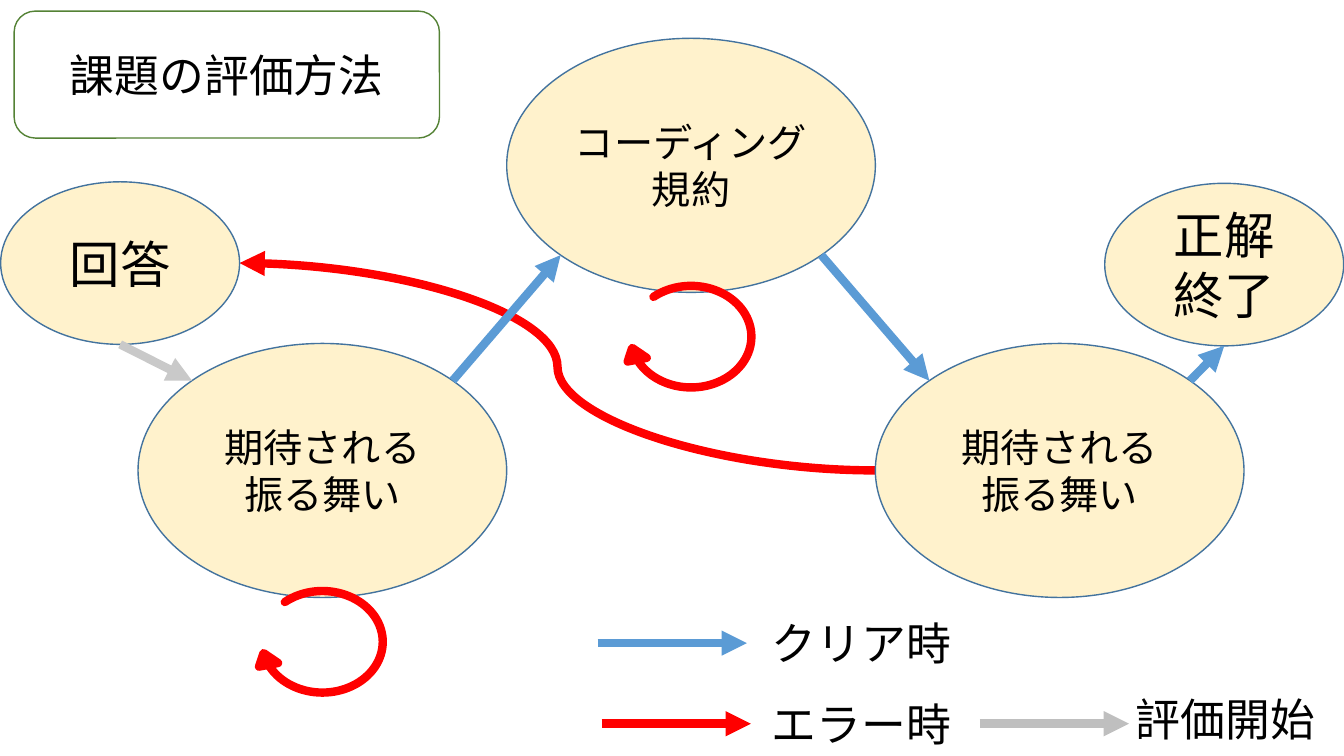
from dataclasses import dataclass
from math import cos, radians, sin

from lxml.etree import SubElement
from pptx import Presentation
from pptx.dml.color import RGBColor
from pptx.enum.shapes import MSO_CONNECTOR as Conn, MSO_SHAPE as Shape
from pptx.enum.text import MSO_ANCHOR as Anchor, PP_ALIGN as Align
from pptx.oxml.ns import qn
from pptx.util import Inches, Pt

Point = tuple[float, float]


@dataclass(frozen=True)
class Theme:
    font: str = "Noto Sans CJK JP"
    text: str = "000000"
    node_fill: str = "FFF2CC"
    node_line: str = "43739E"
    title_fill: str = "FFFFFF"
    title_line: str = "548235"
    clear: str = "5B9BD5"
    error: str = "FF0000"
    start: str = "C9C9C9"
    start_key: str = "BFBFBF"
    step_size: int = 28
    label_size: int = 32
    end_size: int = 36
    thin: float = 1
    thick: float = 6


@dataclass(frozen=True)
class Box:
    """A rectangle in percent of the slide's width and height."""
    x: float
    y: float
    w: float
    h: float

    def rim(self, angle: float) -> Point:
        """Point on the inscribed ellipse, clockwise in degrees from the right."""
        a = radians(angle)
        return (self.x + self.w / 2 * (1 + cos(a)),
                self.y + self.h / 2 * (1 + sin(a)))


@dataclass(frozen=True)
class Node:
    text: str
    box: Box
    size: int


@dataclass(frozen=True)
class Arrow:
    begin: Point
    end: Point
    color: str


@dataclass(frozen=True)
class Key:
    text: str
    arrow_at: Point
    text_at: Point
    color: str


T = Theme()
RIGHT, LOWER_RIGHT, BOTTOM, LEFT, UPPER_LEFT, UPPER_RIGHT = 0, 45, 90, 180, 225, 315
LOWER_LEFT = 135
STEP_LEFT, STEP_W, STEP_H = 10.27, 27.43, 33.6
END_W, END_H = 17.78, 21.5
LOOP_W, LOOP_H, LOOP_DROP = 9, 18.53, 30.2
KEY_ARROW_W, KEY_TEXT_W, KEY_TEXT_H = 11.1, 16.2, 8.53

prs = Presentation()
prs.slide_width, prs.slide_height = Inches(13.33), Inches(7.5)
s = prs.slides.add_slide(prs.slide_layouts[6])


def across(share: float) -> int:
    return round(prs.slide_width * share / 100)


def down(share: float) -> int:
    return round(prs.slide_height * share / 100)


def place(box: Box) -> tuple[int, int, int, int]:
    return across(box.x), down(box.y), across(box.w), down(box.h)


def write(sp, text: str, *, size: int, align=Align.CENTER, anchor=Anchor.MIDDLE) -> None:
    tf = sp.text_frame
    tf.word_wrap = True
    tf.vertical_anchor = anchor
    tf.text = text
    for p in tf.paragraphs:
        p.alignment = align
        for r in p.runs:
            r.font.name, r.font.size = T.font, Pt(size)
            r.font.color.rgb = RGBColor.from_string(T.text)
            SubElement(r.font._element, qn("a:ea"), typeface=T.font)


def add_figure(kind: Shape, box: Box, *, fill: str, line: str, width: float = T.thin):
    sp = s.shapes.add_shape(kind, *place(box))
    sp.shadow.inherit = False
    sp.fill.solid()
    sp.fill.fore_color.rgb = RGBColor.from_string(fill)
    sp.line.color.rgb = RGBColor.from_string(line)
    sp.line.width = Pt(width)
    return sp


def add_arrow(arrow: Arrow, kind: Conn = Conn.STRAIGHT) -> None:
    (x1, y1), (x2, y2) = arrow.begin, arrow.end
    c = s.shapes.add_connector(kind, across(x1), down(y1), across(x2), down(y2))
    c.line.color.rgb = RGBColor.from_string(arrow.color)
    c.line.width = Pt(T.thick)
    SubElement(c.line._get_or_add_ln(), qn("a:tailEnd"), type="triangle")
    SubElement(c._element.spPr, qn("a:effectLst"))


def add_node(node: Node) -> None:
    sp = add_figure(Shape.OVAL, node.box, fill=T.node_fill, line=T.node_line)
    write(sp, node.text, size=node.size)


def add_retry_loop(step: Box) -> None:
    box = Box(step.x + (step.w - LOOP_W) / 2, step.y + LOOP_DROP, LOOP_W, LOOP_H)
    sp = add_figure(Shape.CIRCULAR_ARROW, box, fill=T.error, line=T.error, width=T.thick)
    sp.rotation = 90
    # Angles are stored in 1/60000 degree, adjustments in 1/100000.
    head, tip, tail = (degrees * 0.6 for degrees in (12.28, 66.85, 136.65))
    for i, value in enumerate((0, head, tip, tail, 0.08)):
        sp.adjustments[i] = value


def add_key(key: Key) -> None:
    x, y = key.arrow_at
    add_arrow(Arrow((x, y), (x + KEY_ARROW_W, y), key.color))
    sp = s.shapes.add_textbox(*place(Box(*key.text_at, KEY_TEXT_W, KEY_TEXT_H)))
    write(sp, key.text, size=T.label_size, align=Align.LEFT, anchor=Anchor.TOP)


def step_box(column: int, top: float) -> Box:
    return Box(STEP_LEFT + column * STEP_W, top, STEP_W, STEP_H)


def main() -> None:
    answer = Box(0.05, 24.05, END_W, END_H)
    first, style, second = step_box(0, 45.43), step_box(1, 5.07), step_box(2, 45.43)
    finish = Box(82.2, 24.25, END_W, END_H)
    nodes = (
        Node("回答", answer, T.end_size),
        Node("期待される\n振る舞い", first, T.step_size),
        Node("コーディング規約", style, T.step_size),
        Node("期待される\n振る舞い", second, T.step_size),
        Node("正解終了", finish, T.end_size),
    )
    arrows = (
        Arrow(answer.rim(BOTTOM), first.rim(UPPER_LEFT), T.start),
        Arrow(first.rim(UPPER_RIGHT), style.rim(LOWER_LEFT), T.clear),
        Arrow(second.rim(UPPER_RIGHT), finish.rim(BOTTOM), T.clear),
        Arrow(style.rim(LOWER_RIGHT), second.rim(UPPER_LEFT), T.clear),
    )
    keys = (
        Key("クリア時", (44.47, 85.07), (56.7, 80.8), T.clear),
        Key("エラー時", (44.77, 95.73), (56.7, 91.47), T.error),
        Key("評価開始", (72.9, 95.73), (83.77, 90.8), T.start_key),
    )
    add_arrow(Arrow(second.rim(LEFT), answer.rim(RIGHT), T.error), Conn.CURVE)
    for node in nodes:
        add_node(node)
    for arrow in arrows:
        add_arrow(arrow)
    for step in (first, style):
        add_retry_loop(step)
    for key in keys:
        add_key(key)
    title = add_figure(Shape.ROUNDED_RECTANGLE, Box(1.05, 1.47, 31.65, 16.8),
                       fill=T.title_fill, line=T.title_line)
    write(title, "課題の評価方法", size=T.label_size)
    prs.save("out.pptx")


if __name__ == "__main__":
    main()
